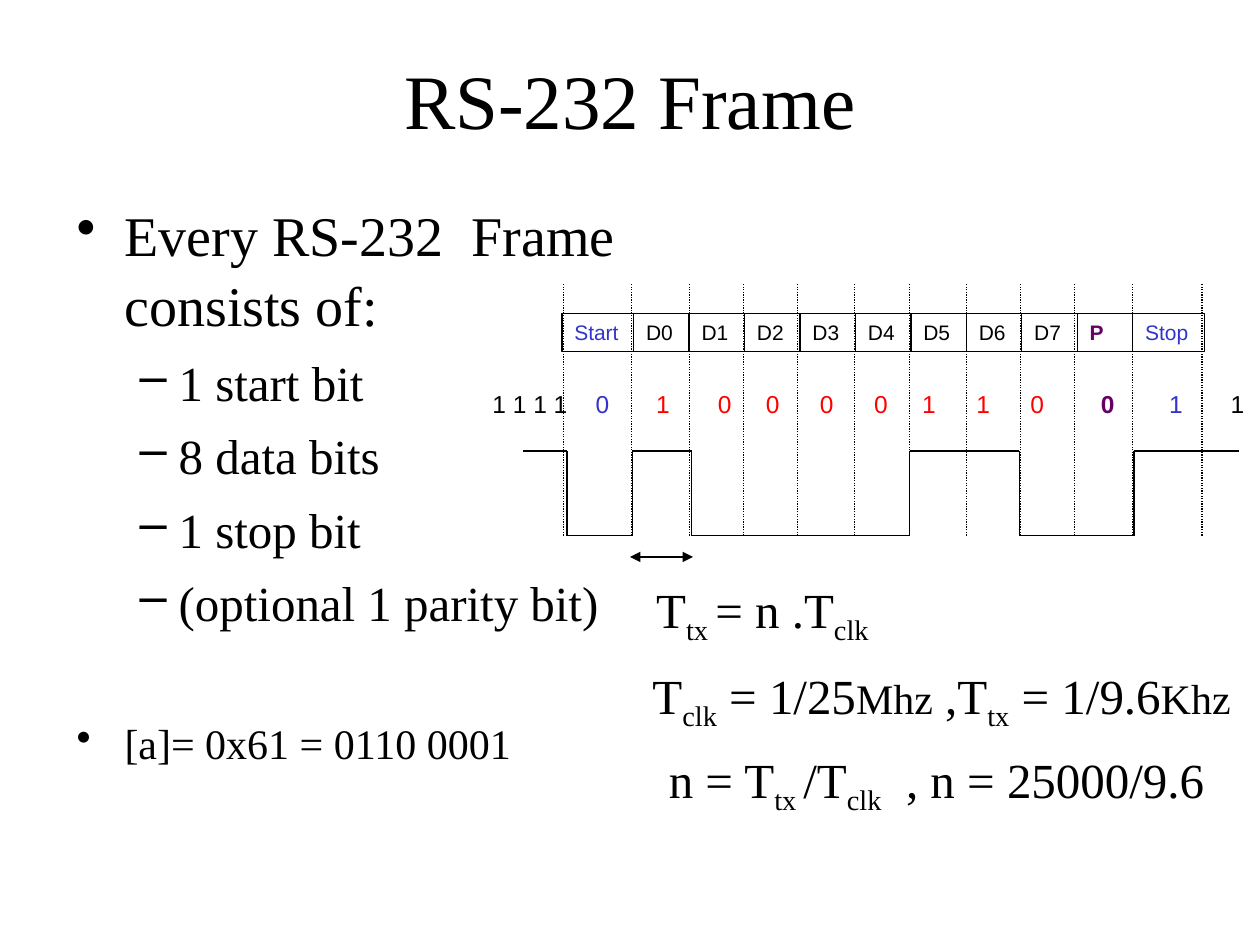
import pptx
import pptx.dml.color
import pptx.enum.dml
import pptx.enum.shapes
import pptx.enum.text
import pptx.oxml
import pptx.oxml.ns
import pptx.util
from pptx.util import Inches

SERIF, SANS = "Times New Roman", "Arial"
BLACK, BLUE, RED, PURPLE = "000000", "3333CC", "FF0000", "660066"

HIGH, LOW = 3.58, 4.25
LEVEL_CHANGES = [4.15, 4.5, 5.02, 5.49, 7.22, 8.09, 9, 9.83]
BIT_BORDERS = [4.47, 5.01, 5.47, 5.9, 6.33, 6.78, 7.22, 7.67, 8.1, 8.53, 8.99, 9.54]

FIELDS = ([("Start", 0.57, BLUE)]
          + [(f"D{i}", 0.44, BLACK) for i in range(8)]
          + [("P", 0.44, PURPLE), ("Stop", 0.57, BLUE)])

# Each bit with its left edge and colour
BITS = [("1 1 1 1", 3.91, BLACK), ("0", 4.73, BLUE),
        ("1", 5.21, RED), ("0", 5.7, RED), ("0", 6.08, RED), ("0", 6.51, RED),
        ("0", 6.94, RED), ("1", 7.32, RED), ("1", 7.75, RED), ("0", 8.18, RED),
        ("0", 8.74, PURPLE), ("1", 9.28, BLUE), ("1", 9.77, BLACK)]

# Runs of each formula: text, size, subscript
FORMULAS = [
    (5.11, 4.5, 1.98, [("T", 28, False), ("tx ", 28, True), ("= n .T", 28, False),
                       ("clk", 28, True)]),
    (5.08, 5.18, 4.9, [("T", 28, False), ("clk", 28, True), (" = 1/25", 28, False),
                       ("Mhz", 24, False), (" ,T", 28, False), ("tx", 28, True),
                       (" = 1/9.6", 28, False), ("Khz", 24, False)]),
    (5.21, 5.85, 4.6, [("n = T", 28, False), ("tx ", 28, True), ("/T", 28, False),
                       ("clk", 28, True), ("  , n = 25000/9.6", 28, False)]),
]

# Text, level, size, space before
POINTS = [("Every RS-232  Frame consists of:", 0, 32, 0),
          ("1 start bit", 1, 28, 7),
          ("8 data bits", 1, 28, 7),
          ("1 stop bit", 1, 28, 7),
          ("(optional 1 parity bit)", 1, 28, 7),
          ("[a]= 0x61 = 0110 0001", 0, 24, 48)]
BULLETS = [("•", 0.38, 0.38), ("–", 0.81, 0.31)]


def rgb(color):
    return pptx.dml.color.RGBColor.from_string(color)


def add_child(parent, tag, **attributes):
    child = pptx.oxml.parse_xml(f"<a:{tag} {pptx.oxml.ns.nsdecls('a')}/>")
    for name, value in attributes.items():
        child.set(name, str(value))
    parent.append(child)
    return child


def format_run(r, size, font=SERIF, color=BLACK, bold=False):
    r.font.size = pptx.util.Pt(size)
    r.font.name = font
    r.font.color.rgb = rgb(color)
    r.font.bold = bold


def add_text_box(s, left, top, width, height, inset_top=0.05):
    tf = s.shapes.add_textbox(Inches(left), Inches(top),
                              Inches(width), Inches(height)).text_frame
    tf.word_wrap = True
    tf.margin_top = Inches(inset_top)
    return tf


def add_line(s, x1, y1, x2, y2, dashed=False, arrows=False):
    line = s.shapes.add_connector(pptx.enum.shapes.MSO_CONNECTOR.STRAIGHT,
                                  Inches(x1), Inches(y1), Inches(x2), Inches(y2))
    line.line.color.rgb = rgb(BLACK)
    line.line.width = pptx.util.Pt(0.75)
    if dashed:
        line.line.dash_style = pptx.enum.dml.MSO_LINE.ROUND_DOT
    if arrows:
        for end in ("headEnd", "tailEnd"):
            add_child(line.line._get_or_add_ln(), end, type="triangle")
    add_child(line._element.spPr, "effectLst")


def add_title(s, text):
    tf = add_text_box(s, 0.5, 0.3, 9, 1.25, inset_top=0.12)
    tf.text = text
    p = tf.paragraphs[0]
    p.alignment = pptx.enum.text.PP_ALIGN.CENTER
    format_run(p.runs[0], 44)


def add_points(s):
    tf = add_text_box(s, 0.51, 1.47, 4.49, 4.96, inset_top=0.1)
    for i, (text, level, size, before) in enumerate(POINTS):
        p = tf.add_paragraph() if i else tf.paragraphs[0]
        p.text = text
        p.level = level
        p.space_before = pptx.util.Pt(before)
        p.line_spacing = 1.04
        format_run(p.runs[0], size)
        bullet, margin, hanging = BULLETS[level]
        pPr = p._p.get_or_add_pPr()
        pPr.set("marL", str(Inches(margin)))
        pPr.set("indent", str(-Inches(hanging)))
        add_child(pPr, "buChar", char=bullet)


def add_field(s, left, width, text, color):
    sp = s.shapes.add_shape(pptx.enum.shapes.MSO_SHAPE.RECTANGLE, Inches(left),
                            Inches(2.49), Inches(width), Inches(0.3))
    sp.shadow.inherit = False
    sp.fill.background()
    sp.line.color.rgb = rgb(BLACK)
    sp.line.width = pptx.util.Pt(0.75)
    tf = sp.text_frame
    tf.text = text
    tf.vertical_anchor = pptx.enum.text.MSO_ANCHOR.MIDDLE
    p = tf.paragraphs[0]
    p.alignment = pptx.enum.text.PP_ALIGN.LEFT
    format_run(p.runs[0], 12, SANS, color, bold=color == PURPLE)


def add_bits(s):
    tf = add_text_box(s, 3.81, 3.04, 6.16, 0.34)
    tf.margin_right = 0
    p = tf.paragraphs[0]
    tabs = add_child(p._p.get_or_add_pPr(), "tabLst")
    start = BITS[0][1]
    for i, (bit, left, color) in enumerate(BITS):
        r = p.add_run()
        r.text = "\t" + bit if i else bit
        format_run(r, 14, SANS, color, bold=color == PURPLE)
        if i:
            add_child(tabs, "tab", pos=Inches(left - start), algn="l")


def add_signal(s):
    for i, (x1, x2) in enumerate(zip(LEVEL_CHANGES, LEVEL_CHANGES[1:])):
        y = LOW if i % 2 else HIGH
        add_line(s, x1, y, x2, y)
    for x in LEVEL_CHANGES[1:-1]:
        add_line(s, x, LOW, x, HIGH)


def add_formula(s, left, top, width, parts):
    p = add_text_box(s, left, top, width, 0.63, inset_top=0.1).paragraphs[0]
    for text, size, subscript in parts:
        r = p.add_run()
        r.text = text
        format_run(r, size)
        if subscript:
            r._r.get_or_add_rPr().set("baseline", "-25000")


def main():
    prs = pptx.Presentation()
    prs.slide_width, prs.slide_height = Inches(10), Inches(7.5)
    s = prs.slides.add_slide(prs.slide_layouts[6])

    add_title(s, "RS-232 Frame")

    # Frame fields, side by side
    left = 4.46
    for text, width, color in FIELDS:
        add_field(s, left, width, text, color)
        left += width

    add_bits(s)
    add_points(s)

    # Timing diagram with the duration of one bit
    add_signal(s)
    add_line(s, 5, 4.42, 5.5, 4.42, arrows=True)
    for x in BIT_BORDERS:
        add_line(s, x, LOW, x, 2.25, dashed=True)

    for formula in FORMULAS:
        add_formula(s, *formula)

    prs.save("out.pptx")


if __name__ == "__main__":
    main()
